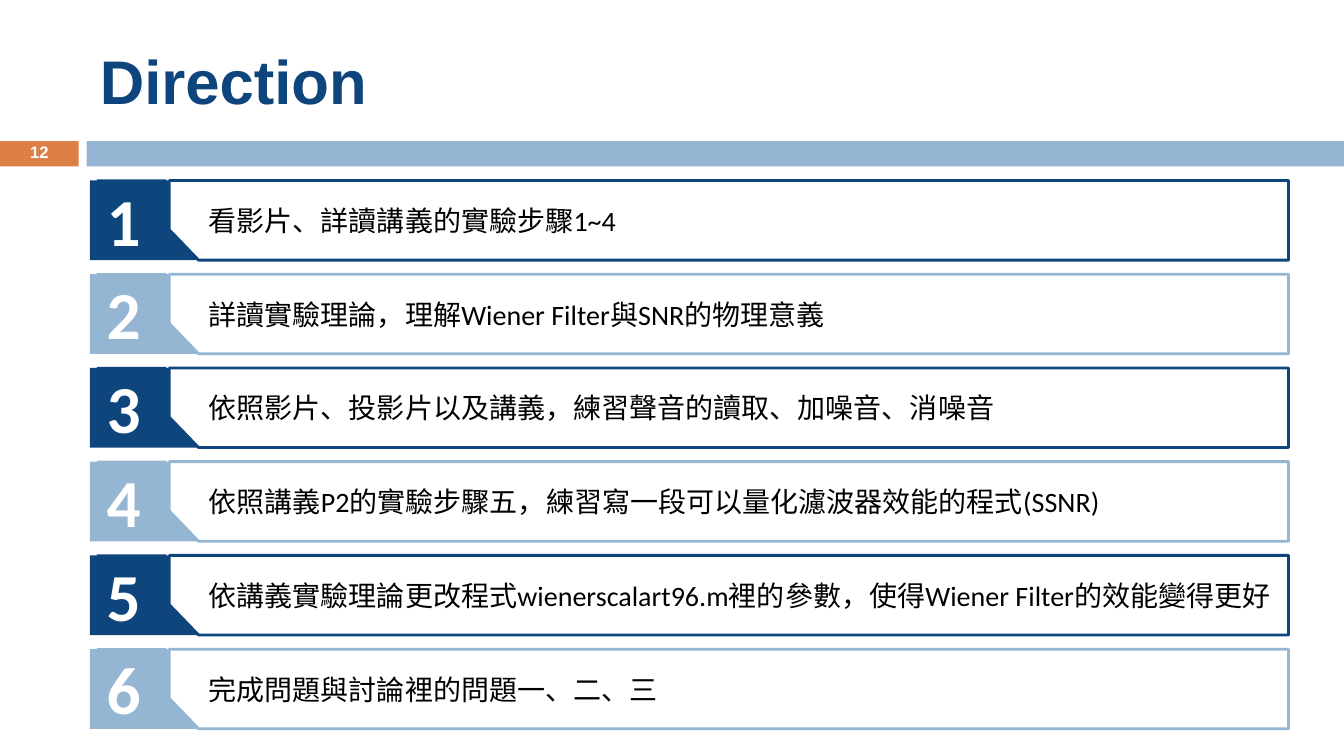
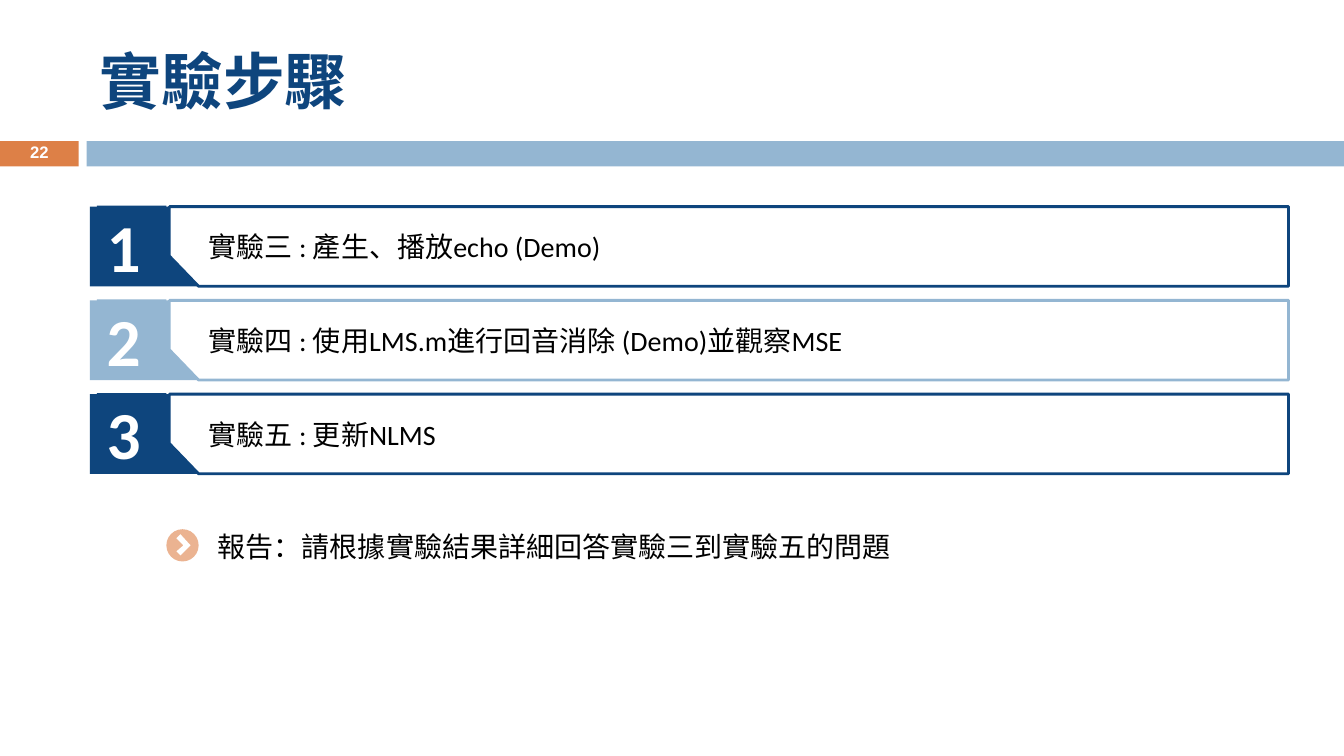
from pptx import Presentation
from pptx.dml.color import RGBColor as Rgb
from pptx.enum.shapes import MSO_SHAPE as Geo
from pptx.enum.text import MSO_ANCHOR as Anchor, MSO_AUTO_SIZE as Fit, PP_ALIGN as Align
from pptx.util import Inches, Pt

COLOR = {
    "navy": "0E457D",
    "sky": "94B6D2",
    "rust": "DD8047",
    "peach": "EBB391",
    "white": "FFFFFF",
    "black": "000000",
}
WIDE, HIGH = 13.33, 7.5
LEFT, SPAN = 0.89, 11.89      # column shared by title and rows
BAND, THICK = 1.4, 0.25       # top and height of the band
PAGE = 0.78                   # width of the page number block
ROW, PITCH = 0.79, 0.93       # row height and row distance

DECK = [
    {
        "title": "Direction", "page": "12", "top": 1.79,
        "steps": [
            "看影片、詳讀講義的實驗步驟1~4",
            "詳讀實驗理論，理解Wiener Filter與SNR的物理意義",
            "依照影片、投影片以及講義，練習聲音的讀取、加噪音、消噪音",
            "依照講義P2的實驗步驟五，練習寫一段可以量化濾波器效能的程式(SSNR)",
            "依講義實驗理論更改程式wienerscalart96.m裡的參數，使得Wiener Filter的效能變得更好",
            "完成問題與討論裡的問題一、二、三",
        ],
    },
    {
        "title": "實驗步驟", "page": "22", "top": 2.05,
        "steps": [
            "實驗三 : 產生、播放echo (Demo)",
            "實驗四 : 使用LMS.m進行回音消除 (Demo)並觀察MSE",
            "實驗五 : 更新NLMS",
        ],
        "note": "報告：請根據實驗結果詳細回答實驗三到實驗五的問題",
    },
]


def rgb(name):
    return Rgb.from_string(COLOR[name])


def box(*sides):
    return [Inches(side) for side in sides]


def paint(shape, fill, line=None):
    shape.shadow.inherit = False
    shape.fill.solid()
    shape.fill.fore_color.rgb = rgb(fill)
    if line:
        shape.line.color.rgb = rgb(line)
        shape.line.width = Pt(2)
    else:
        shape.line.fill.background()
    return shape


def block(shapes, geo, at, fill):
    return paint(shapes.add_shape(geo, *box(*at)), fill)


def outline(shapes, points, fill, line=None):
    dots = [tuple(box(*point)) for point in points]
    pen = shapes.build_freeform(*dots[0])
    pen.add_line_segments(dots[1:], close=True)
    return paint(pen.convert_to_shape(), fill, line)


def write(shape, text, size, font, color, bold=False, align=Align.LEFT,
          inset=(0.1, 0.05, 0.1, 0.05), wrap=True):
    frame = shape.text_frame
    frame.auto_size = Fit.NONE
    frame.word_wrap = wrap
    frame.vertical_anchor = Anchor.MIDDLE
    (frame.margin_left, frame.margin_top,
     frame.margin_right, frame.margin_bottom) = box(*inset)
    para = frame.paragraphs[0]
    para.alignment = align
    run = para.add_run()
    run.text = text
    run.font.size = Pt(size)
    run.font.name = font
    run.font.bold = bold
    run.font.color.rgb = rgb(color)
    return para


def frame_layout(layout, slide):
    """Put the bands and the title place on the layout."""
    title = layout.placeholders[0]
    title.left, title.top, title.width, title.height = box(LEFT, 0.25, SPAN, 1.08)
    start = PAGE + 0.08
    for left, width, fill in ((0, PAGE, "rust"), (start, WIDE - start, "sky")):
        band = block(slide.shapes, Geo.RECTANGLE, (left, BAND, width, THICK), fill)
        title.element.addprevious(band.element)


def add_head(slide, title, page):
    write(slide.shapes.title, title, 44, "Arial", "navy", bold=True)
    label = slide.shapes.add_textbox(*box(0, BAND - 0.01, PAGE, THICK + 0.02))
    para = write(label, page, 11.9, "Arial", "white", bold=True, align=Align.CENTER)
    para.line_spacing = 0.8


def add_step(slide, num, text, left, top, width):
    """Draw one numbered row: panel, notched tab and digit."""
    shapes = slide.shapes.add_group_shape().shapes
    color = "navy" if num % 2 else "sky"
    edge, right, base = left + ROW, left + width, top + ROW
    notch, foot = top + 0.49, edge + 0.29
    # Panel
    panel = outline(shapes, [(edge, top), (right, top), (right, base),
                             (foot, base), (edge, notch)], "white", color)
    write(panel, text, 20, "Calibri", "black", inset=(0.39, 0.05, 0.1, 0.05))
    # Tab
    outline(shapes, [(left, top), (edge, top), (edge, notch),
                     (foot, base), (left, base)], color)
    # Digit
    digit = block(shapes, Geo.RECTANGLE, (left + 0.07, top - 0.01, 0.69, ROW), color)
    write(digit, str(num), 48, "Calibri", "white", bold=True, wrap=False)


def add_note(slide, text, left, top):
    """Draw a round arrow bullet with its line of text."""
    block(slide.shapes, Geo.OVAL, (left, top, 0.32, 0.32), "peach")
    arrow = [(0.14, 0.05), (0.24, 0.16), (0.14, 0.26),
             (0.1, 0.22), (0.17, 0.16), (0.1, 0.09)]
    outline(slide.shapes, [(left + x, top + y) for x, y in arrow], "white")
    line = slide.shapes.add_textbox(*box(left + 0.51, top, 7.34, 0.34))
    write(line, text, 20, "Arial", "black", inset=(0, 0, 0, 0))


def main():
    deck = Presentation()
    deck.slide_width, deck.slide_height = box(WIDE, HIGH)
    layout = deck.slide_layouts[5]
    for index, page in enumerate(DECK):
        slide = deck.slides.add_slide(layout)
        if index == 0:
            frame_layout(layout, slide)
        add_head(slide, page["title"], page["page"])
        for num, text in enumerate(page["steps"], 1):
            add_step(slide, num, text, LEFT, page["top"] + (num - 1) * PITCH, SPAN)
        if "note" in page:
            add_note(slide, page["note"], 1.65, 5.25)
    deck.save("out.pptx")


if __name__ == "__main__":
    main()
